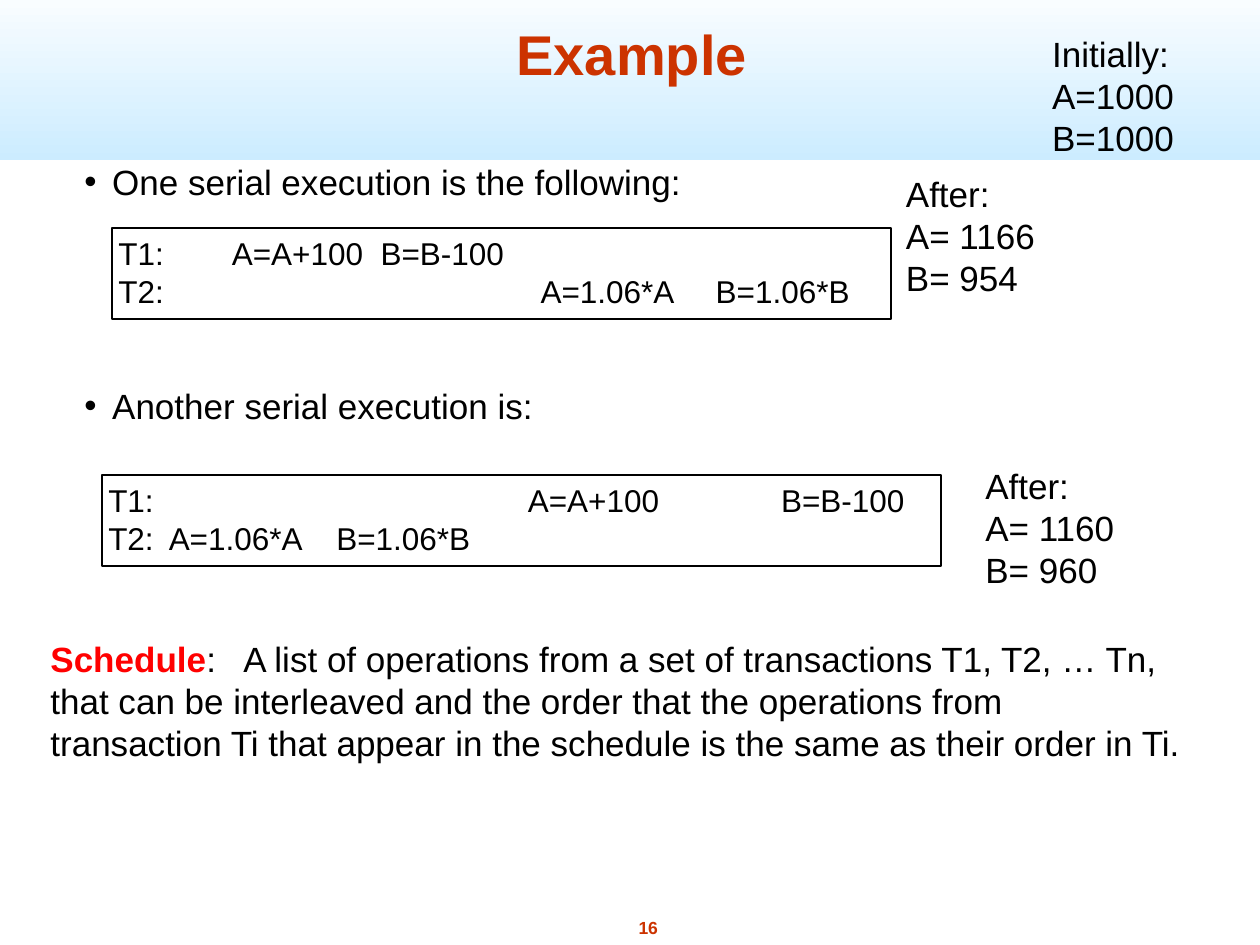
from dataclasses import dataclass

from lxml.etree import SubElement
from pptx import Presentation
from pptx.dml.color import RGBColor
from pptx.enum.shapes import MSO_SHAPE
from pptx.enum.text import MSO_ANCHOR, MSO_AUTO_SIZE, PP_ALIGN
from pptx.oxml.ns import qn
from pptx.util import Inches, Pt


@dataclass(frozen=True)
class Theme:
    """Colours, font and type sizes of the slide."""

    font: str = "Arial"
    accent: RGBColor = RGBColor(0xCC, 0x33, 0x00)
    term: RGBColor = RGBColor(0xFF, 0x00, 0x00)
    ink: RGBColor = RGBColor(0x00, 0x00, 0x00)
    sky: RGBColor = RGBColor(0xCC, 0xEC, 0xFF)
    paper: RGBColor = RGBColor(0xFF, 0xFF, 0xFF)
    title: float = 32
    body: float = 20
    schedule: float = 18
    number: float = 10
    leading: float = 1.2


THEME = Theme()


def place(shape, box):
    """Move and size a shape to a box given in inches."""
    shape.left, shape.top, shape.width, shape.height = map(Inches, box)


def write(shape, lines, size, color=THEME.ink, bold=False, align=PP_ALIGN.LEFT,
          anchor=MSO_ANCHOR.TOP, wrap=True):
    """Fill a shape with one paragraph per line and return its paragraphs."""
    frame = shape.text_frame
    frame.margin_left = frame.margin_right = Inches(0.05)
    frame.margin_top = frame.margin_bottom = Inches(0.05)
    frame.auto_size = MSO_AUTO_SIZE.NONE
    frame.word_wrap = wrap
    frame.vertical_anchor = anchor
    frame.text = "\n".join(lines)
    for paragraph in frame.paragraphs:
        paragraph.alignment = align
        paragraph.space_before = Pt(0)
        paragraph.line_spacing = Pt(size * THEME.leading)
        font = paragraph.font
        font.name, font.size, font.bold = THEME.font, Pt(size), bold
        font.color.rgb = color
    return frame.paragraphs


def add_band(slide, box):
    """Lay the gradient band behind everything else."""
    band = slide.shapes.add_shape(MSO_SHAPE.RECTANGLE, *map(Inches, box))
    band.shadow.inherit = False
    band.line.fill.background()
    band.fill.gradient()
    band.fill.gradient_angle = 90
    for stop, color in zip(band.fill.gradient_stops, (THEME.sky, THEME.paper)):
        stop.color.rgb = color
    slide.shapes._spTree.insert(2, band._element)


def add_title(slide, box, text):
    """Put the heading in the title placeholder."""
    place(slide.shapes.title, box)
    write(slide.shapes.title, [text], THEME.title, THEME.accent, bold=True,
          align=PP_ALIGN.CENTER, anchor=MSO_ANCHOR.BOTTOM)


def add_bullets(slide, box, items, gap):
    """Put the list in the body placeholder with a gap in points between items."""
    body = slide.placeholders[1]
    place(body, box)
    paragraphs = write(body, items, THEME.body)
    for paragraph in paragraphs:
        properties = paragraph._p.get_or_add_pPr()
        properties.set("marL", str(Inches(0.22)))
        properties.set("indent", str(-Inches(0.22)))
    for paragraph in paragraphs[1:]:
        paragraph.space_before = Pt(gap)


def add_schedule(slide, box, rows):
    """Draw a framed schedule whose operations sit at tab stops in inches."""
    frame = slide.shapes.add_shape(MSO_SHAPE.RECTANGLE, *map(Inches, box))
    frame.shadow.inherit = False
    frame.fill.background()
    frame.line.color.rgb = THEME.ink
    frame.line.width = Pt(1)
    lines = ["\t".join([name, *operations.values()]) for name, operations in rows.items()]
    paragraphs = write(frame, lines, THEME.schedule)
    for paragraph, operations in zip(paragraphs, rows.values()):
        properties = paragraph._p.get_or_add_pPr()
        tabs = SubElement(properties, qn("a:tabLst"))
        properties.find(qn("a:defRPr")).addprevious(tabs)
        for position in operations:
            SubElement(tabs, qn("a:tab"), pos=str(Inches(position)), algn="l")


def add_note(slide, box, lines):
    """Write the values of A and B beside a schedule."""
    note = slide.shapes.add_textbox(*map(Inches, box))
    write(note, lines, THEME.body, wrap=False)


def add_definition(slide, box, term, lines):
    """Write a definition that opens with its highlighted term."""
    definition = slide.shapes.add_textbox(*map(Inches, box))
    opening = write(definition, lines, THEME.body)[0]
    rest = opening.runs[0].text
    opening.runs[0].text = term
    opening.runs[0].font.bold = True
    opening.runs[0].font.color.rgb = THEME.term
    opening.add_run().text = rest


def add_number(slide, box, number):
    """Write the slide number at the foot."""
    foot = slide.shapes.add_textbox(*map(Inches, box))
    write(foot, [number], THEME.number, THEME.accent, bold=True,
          align=PP_ALIGN.CENTER, wrap=False)


def main():
    """Build the slide and save it."""
    presentation = Presentation()
    presentation.slide_width, presentation.slide_height = Inches(10), Inches(7.5)
    slide = presentation.slides.add_slide(presentation.slide_layouts[1])
    add_band(slide, (0, -0.17, 10, 1.44))
    add_title(slide, (0.6, 0.07, 8.83, 0.67), "Example")
    add_bullets(slide, (0.62, 1.22, 8.58, 3.47),
                ["One serial execution is the following:", "Another serial execution is:"], 104)
    add_schedule(slide, (0.89, 1.81, 6.18, 0.72), {
        "T1:": {0.9: "A=A+100", 2.08: "B=B-100"},
        "T2:": {3.35: "A=1.06*A", 4.74: "B=1.06*B"},
    })
    add_schedule(slide, (0.81, 3.77, 6.66, 0.72), {
        "T1:": {3.33: "A=A+100", 5.34: "B=B-100"},
        "T2:": {0.48: "A=1.06*A", 1.81: "B=1.06*B"},
    })
    add_note(slide, (8.3, 0.21, 1.08, 1.1), ["Initially:", "A=1000", "B=1000"])
    add_note(slide, (7.14, 1.32, 1.14, 1.1), ["After:", "A= 1166", "B= 954"])
    add_note(slide, (7.77, 3.64, 1.14, 1.1), ["After:", "A= 1160", "B= 960"])
    add_definition(slide, (0.35, 5.01, 9.22, 1.1), "Schedule", [
        ":   A list of operations from a set of transactions T1, T2, … Tn,",
        "that can be interleaved and the order that the operations from",
        "transaction Ti that appear in the schedule is the same as their order in Ti.",
    ])
    add_number(slide, (5.01, 7.23, 0.27, 0.27), "16")
    presentation.save("out.pptx")


if __name__ == "__main__":
    main()
